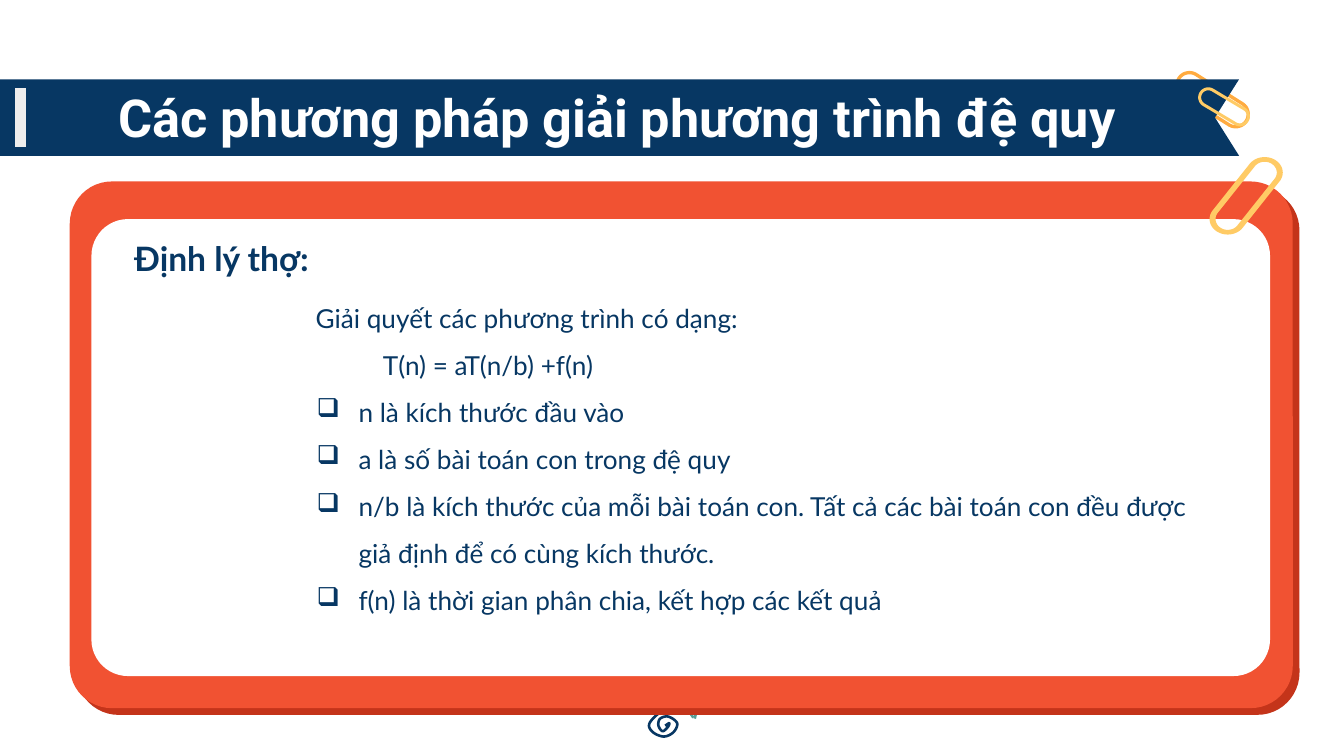
import math
import pptx
import pptx.dml.color
import pptx.enum.shapes
import pptx.enum.text
import pptx.oxml.ns
import pptx.util
from lxml import etree

Pt = pptx.util.Pt

# Theme
THEME = {
    "navy": "073763", "white": "FFFFFF", "pale": "EEEEEE", "red": "F15232",
    "dark": "C4341A", "gold": "FFCB65", "amber": "FFAB40", "teal": "569D96",
    "head": ("Roboto", 28, True), "label": ("Lato", 18, True),
    "body": ("Lato", 14, False),
}

# Content: each line is (text, bulleted)
TITLE = "Các phương pháp giải phương trình đệ quy"
LABEL = "Định lý thợ:"
BODY = [
    ("Giải quyết các phương trình có dạng:", False),
    ("\tT(n) = aT(n/b) +f(n)", False),
    ("n là kích thước đầu vào", True),
    ("a là số bài toán con trong đệ quy", True),
    ("n/b là kích thước của mỗi bài toán con. Tất cả các bài toán con đều "
     "được giả định để có cùng kích thước.", True),
    ("f(n) là thời gian phân chia, kết hợp các kết quả", True),
]

# Shape data, in points
RIBBON = [(0, 42.5), (0, 83.5), (663.8, 83.5), (650.9, 63), (663.8, 42.5)]
MARK = [(7.9, 47.2), (7.9, 78.8), (14, 78.8), (14, 47.2)]
CARDS = [
    ((41, 100.8, 655.2, 282.2), "dark"),
    ((37.4, 97.2, 655.2, 282.2), "red"),
    ((49, 117.4, 631.4, 244.8), "white"),
]
# Clips: two end centres, outer radii, inner radii, colour
BACK = ((637.2, 45.6), (662, 61.2), (7.6, 7.6), (5.8, 5.8), "amber")
FRONT = ((647.3, 52.2), (664.2, 62.3), (5.4, 5.4), (3.8, 3.8), "gold")
CARD = ((657.7, 117.4), (677.5, 92.5), (9.7, 8.3), (6.5, 5.8), "gold")
SWIRL = [(360, 378.7), (352.8, 382.3), (347.8, 388), (350, 392.4),
         (355.7, 394.6), (360.7, 392.4), (362.9, 388), (360.7, 385.2),
         (357.1, 383.8), (353.5, 385.2), (352.8, 388.8), (355, 391.7),
         (357.8, 389.5), (358.6, 387.4), (356.4, 388.8)]
SPARK = [
    [(371.5, 372.2), (374.4, 377.3), (378, 378.7), (373.7, 380.5), (372.2, 385)],
    [(371.5, 372.2), (368.6, 377.3), (364.3, 379.4), (367.9, 380.2), (371.5, 384.5)],
]


def tint(name):
    return pptx.dml.color.RGBColor.from_string(THEME[name])


def paint(shape, fill=None, line=None, width=1.4):
    shape.shadow.inherit = False
    if fill:
        shape.fill.solid()
        shape.fill.fore_color.rgb = tint(fill)
    else:
        shape.fill.background()
    if line:
        shape.line.color.rgb = tint(line)
        shape.line.width = Pt(width)
    else:
        shape.line.fill.background()


def draw(shapes, loops, close=True):
    """Build one freeform from one or more lists of points."""
    loops = [[(Pt(x), Pt(y)) for x, y in loop] for loop in loops]
    pen = shapes.build_freeform(*loops[0][0], scale=1.0)
    for i, loop in enumerate(loops):
        if i:
            pen.move_to(*loop[0])
        pen.add_line_segments(loop[1:], close=close)
    return pen.convert_to_shape()


def oval(a, b, radii, steps=72):
    """Outline of an ellipse swept from a to b."""
    rx, ry = radii
    points = []
    for i in range(steps):
        turn = 2 * math.pi * i / steps
        cos, sin = math.cos(turn), math.sin(turn)
        ahead = cos / rx * (b[0] - a[0]) + sin / ry * (b[1] - a[1]) > 0
        x, y = b if ahead else a
        points.append((x + rx * cos, y + ry * sin))
    return points


def clip(shapes, a, b, outer, inner, color):
    paint(draw(shapes, [oval(a, b, outer), oval(a, b, inner)]), color)


def curve(points, steps=6):
    """Smooth path through the points (Catmull-Rom)."""
    ends = [points[0]] + points + [points[-1]]
    path = []
    for p, q, r, s in zip(ends, ends[1:], ends[2:], ends[3:]):
        for i in range(steps):
            t = i / steps
            path.append(tuple(
                q[k] + t * (r[k] - p[k]) / 2
                + t * t * (p[k] - 2.5 * q[k] + 2 * r[k] - s[k] / 2)
                + t ** 3 * (3 * q[k] - p[k] - 3 * r[k] + s[k]) / 2
                for k in (0, 1)))
    return path + [points[-1]]


def write(shapes, box, lines, style, color, left=0, first=0, space=None, mid=True):
    frame = shapes.add_textbox(*map(Pt, box)).text_frame
    frame.word_wrap = True
    frame.margin_left = frame.margin_right = Pt(7.2)
    frame.margin_top = frame.margin_bottom = Pt(7.2)
    anchor = pptx.enum.text.MSO_ANCHOR
    frame.vertical_anchor = anchor.MIDDLE if mid else anchor.TOP
    for i, (text, bullet) in enumerate(lines):
        para = frame.paragraphs[0] if i == 0 else frame.add_paragraph()
        if space:
            para.line_spacing = space
        props = para._p.get_or_add_pPr()
        props.set("marL", str(Pt(33.8 if bullet else left)))
        props.set("indent", str(Pt(-22.5 if bullet else first)))
        if bullet:
            qn = pptx.oxml.ns.qn
            shade = etree.SubElement(props, qn("a:buClr"))
            etree.SubElement(shade, qn("a:srgbClr"), val=THEME[color])
            etree.SubElement(props, qn("a:buChar"), char="❑")
        run = para.add_run()
        run.text = text
        name, size, bold = THEME[style]
        run.font.name, run.font.size, run.font.bold = name, Pt(size), bold
        run.font.color.rgb = tint(color)


def main():
    deck = pptx.Presentation()
    deck.slide_width, deck.slide_height = Pt(720), Pt(405)
    shapes = deck.slides.add_slide(deck.slide_layouts[6]).shapes

    # Title ribbon with clips
    clip(shapes, *BACK)
    paint(draw(shapes, [RIBBON]), "navy")
    paint(draw(shapes, [MARK]), "pale")
    clip(shapes, *FRONT)

    # Doodles at the foot
    paint(draw(shapes, [curve(SWIRL)], close=False), line="navy")
    group = shapes.add_group_shape()
    for twig in SPARK:
        paint(draw(group.shapes, [curve(twig)], close=False), line="teal")

    # Stacked cards
    for box, color in CARDS:
        card = shapes.add_shape(
            pptx.enum.shapes.MSO_SHAPE.ROUNDED_RECTANGLE, *map(Pt, box))
        card.adjustments[0] = 0.08
        paint(card, color)

    # Text and the card clip
    write(shapes, (151.2, 146.2, 512.6, 238.3), BODY, "body", "navy",
          left=10.8, space=1.5, mid=False)
    write(shapes, (56.2, 43.9, 607.7, 37.4), [(TITLE, False)], "head", "white")
    clip(shapes, *CARD)
    write(shapes, (56.2, 122.4, 202.3, 31.7), [(LABEL, False)], "label", "navy",
          left=36, first=-27.4)
    deck.save("out.pptx")


if __name__ == "__main__":
    main()
